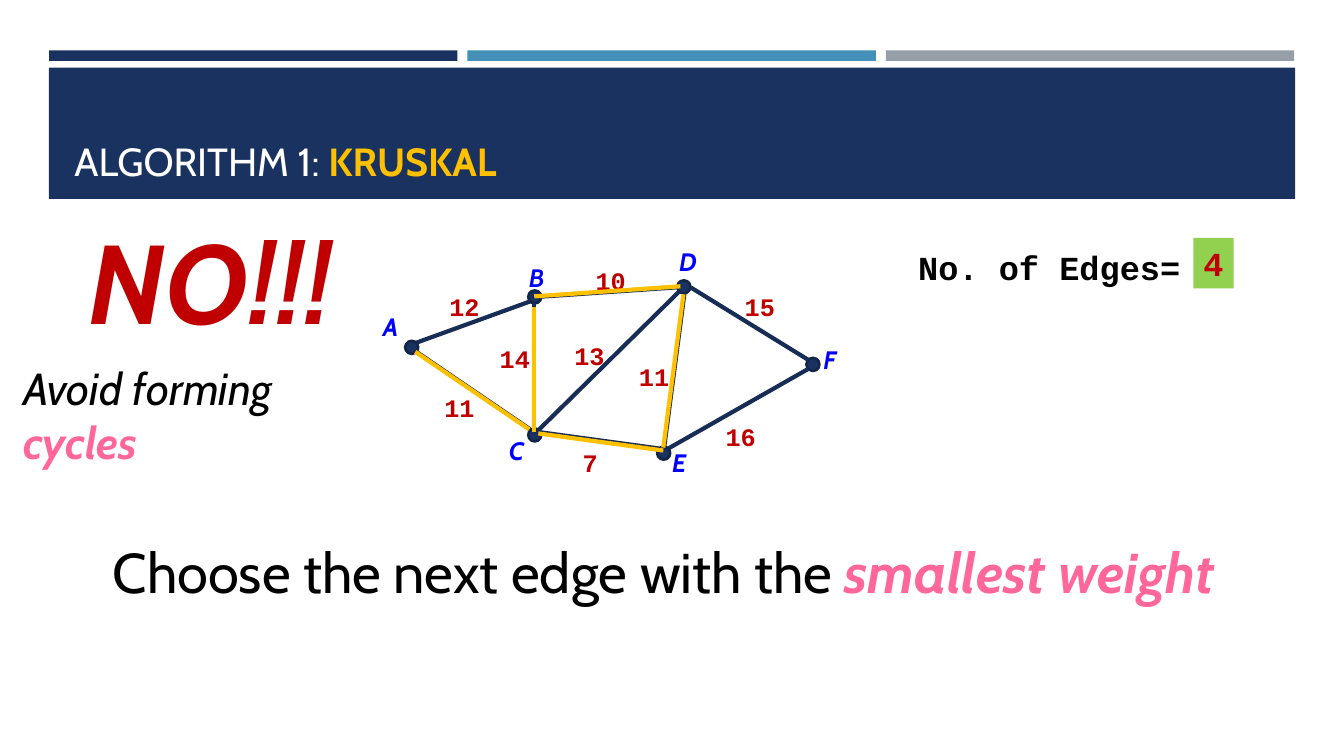
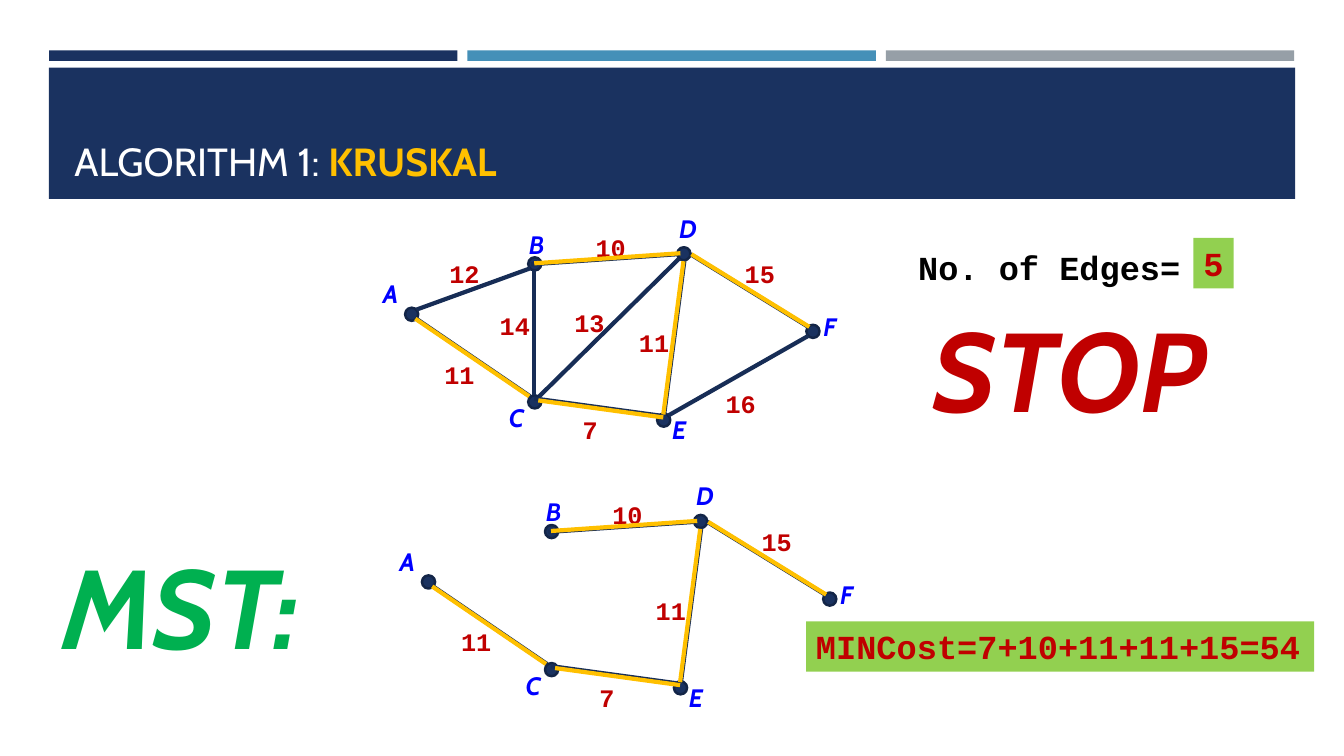
from dataclasses import dataclass

from lxml import etree
from pptx import Presentation
from pptx.dml.color import RGBColor
from pptx.enum import shapes, text
from pptx.oxml.ns import qn
from pptx.util import Pt


@dataclass(frozen=True)
class Theme:
    navy: str = "1A3260"
    node_line: str = "132547"
    edge: str = "172D56"
    blue: str = "4590B8"
    grey: str = "969FA7"
    gold: str = "FFC000"
    white: str = "FFFFFF"
    black: str = "000000"
    red: str = "C00000"
    green: str = "00B050"
    lime: str = "92D050"
    pink: str = "FF6699"
    label: str = "0000FF"
    sans: str = "Cabin"
    mono: str = "Courier New"
    graph_size: int = 18
    counter_size: int = 24
    title_size: int = 28
    note_size: int = 32
    statement_size: int = 40
    shout_size: int = 80


THEME = Theme()


@dataclass(frozen=True)
class Box:
    left: float
    top: float
    width: float
    height: float

    def lengths(self) -> tuple:
        return tuple(Pt(v) for v in (self.left, self.top, self.width, self.height))


@dataclass(frozen=True)
class Style:
    size: int
    color: str
    font: str = THEME.sans
    bold: bool = False
    italic: bool = False


@dataclass(frozen=True)
class Emphasis:
    """A closing run that differs from its paragraph in colour and weight."""
    words: str
    color: str
    italic: bool = False


@dataclass(frozen=True)
class Node:
    name: str
    x: float
    y: float
    label_x: float
    label_y: float
    label_width: float


@dataclass(frozen=True)
class Edge:
    """A weighted edge; shift moves the gold line laid over it when chosen."""
    name: str
    weight: int
    start: tuple[float, float]
    end: tuple[float, float]
    weight_at: tuple[float, float]
    shift: tuple[float, float] = (0, 0)


# Positions are relative to the top left corner of the graph.
NODE_DIAMETER = 9.4
LABEL_HEIGHT = 28.8
NODES = (
    Node("A", 27.7, 76, 0, 46.8, 25.9),
    Node("B", 115.6, 40, 104.4, 11.5, 25.9),
    Node("C", 115.6, 138.6, 90, 135.4, 27.4),
    Node("D", 222.1, 32.8, 211.7, 0, 28.8),
    Node("E", 207.7, 151.6, 206.6, 144, 25.9),
    Node("F", 314.3, 88.2, 314.6, 70.6, 23.8),
)
EDGES = (
    Edge("AB", 12, (112.3, 43.2), (31, 72.7), (47.5, 32.4)),
    Edge("AC", 11, (112.3, 134.6), (31, 79.2), (43.9, 104.4), (-0.7, 0)),
    Edge("BC", 14, (115.2, 44.6), (115.2, 133.9), (83.5, 69.8), (0, 2.5)),
    Edge("BD", 10, (217.4, 33.1), (113, 40.3), (151.9, 13.7), (2.2, -0.7)),
    Edge("CD", 13, (218.9, 36), (118.8, 134.6), (136.8, 67.7)),
    Edge("CE", 7, (204.5, 148.3), (115.2, 136.1), (142.6, 144), (2.9, 1.4)),
    Edge("DE", 11, (222.5, 37.4), (208.1, 146.9), (182.9, 82.1), (-0.7, 0.7)),
    Edge("DF", 15, (311, 85), (226.8, 33.1), (258.5, 32.4), (0.7, 0)),
    Edge("EF", 16, (311, 91.4), (211, 148.3), (244.8, 125.3)),
)
TREE = ("AC", "BD", "CE", "DE", "DF")

NODE_STYLE = Style(THEME.graph_size, THEME.label, bold=True, italic=True)
WEIGHT_STYLE = Style(THEME.graph_size, THEME.red, THEME.mono, bold=True)
COUNTER_STYLE = Style(THEME.counter_size, THEME.black, THEME.mono, bold=True)
RESULT_STYLE = Style(THEME.counter_size, THEME.red, THEME.mono, bold=True)


def rgb(color: str) -> RGBColor:
    return RGBColor.from_string(color)


def add_filled(slide, kind, box: Box, color: str):
    shape = slide.shapes.add_shape(kind, *box.lengths())
    shape.shadow.inherit = False
    shape.fill.solid()
    shape.fill.fore_color.rgb = rgb(color)
    shape.line.fill.background()
    return shape


def write(frame, words: str, style: Style, emphasis: Emphasis | None = None) -> None:
    paragraph = frame.paragraphs[0]
    paragraph.alignment = text.PP_ALIGN.LEFT
    font = paragraph.font
    font.name, font.size = style.font, Pt(style.size)
    font.italic = style.italic
    first = paragraph.add_run()
    first.text = words
    plain = first.font if emphasis else font
    plain.bold = style.bold
    plain.color.rgb = rgb(style.color)
    if emphasis:
        last = paragraph.add_run()
        last.text = emphasis.words
        last.font.bold = True
        last.font.color.rgb = rgb(emphasis.color)
        if emphasis.italic:
            last.font.italic = True


def add_text(slide, box: Box, words: str, style: Style,
             emphasis: Emphasis | None = None, wrap: bool = False,
             fill: str | None = None) -> None:
    if fill:
        shape = add_filled(slide, shapes.MSO_SHAPE.RECTANGLE, box, fill)
    else:
        shape = slide.shapes.add_textbox(*box.lengths())
    frame = shape.text_frame
    frame.word_wrap = wrap
    frame.auto_size = text.MSO_AUTO_SIZE.SHAPE_TO_FIT_TEXT
    frame.vertical_anchor = text.MSO_ANCHOR.TOP
    write(frame, words, style, emphasis)


def add_line(slide, start: tuple[float, float], end: tuple[float, float],
             offset: tuple[float, float], color: str) -> None:
    ends = [Pt(value + move) for point in (start, end)
            for value, move in zip(point, offset)]
    line = slide.shapes.add_connector(shapes.MSO_CONNECTOR.STRAIGHT, *ends)
    line.line.color.rgb = rgb(color)
    line.line.width = Pt(3)
    etree.SubElement(line.element.spPr, qn("a:effectLst"))


def add_graph(slide, left: float, top: float, chosen: tuple[str, ...],
              only_chosen: bool = False) -> None:
    """Draw the graph, with its chosen edges in gold."""
    edges = [edge for edge in EDGES if edge.name in chosen or not only_chosen]
    for node in NODES:
        radius = NODE_DIAMETER / 2
        box = Box(left + node.x - radius, top + node.y - radius,
                  NODE_DIAMETER, NODE_DIAMETER)
        dot = add_filled(slide, shapes.MSO_SHAPE.OVAL, box, THEME.navy)
        dot.line.color.rgb = rgb(THEME.node_line)
        dot.line.width = Pt(1.75)
    for edge in edges:
        add_line(slide, edge.start, edge.end, (left, top), THEME.edge)
    for node in NODES:
        box = Box(left + node.label_x, top + node.label_y,
                  node.label_width, LABEL_HEIGHT)
        add_text(slide, box, node.name, NODE_STYLE)
    for edge in edges:
        weight = str(edge.weight)
        x, y = edge.weight_at
        box = Box(left + x, top + y, 14.4 + 10.8 * len(weight), LABEL_HEIGHT)
        add_text(slide, box, weight, WEIGHT_STYLE)
    for edge in edges:
        if edge.name in chosen:
            dx, dy = edge.shift
            add_line(slide, edge.start, edge.end, (left + dx, top + dy), THEME.gold)


def add_bands(slide) -> None:
    """Draw the header bands and move them to the slide's layout."""
    bands = [(Box(34.9, 48.4, 890.3, 93.7), THEME.navy)]
    for column, color in enumerate((THEME.navy, THEME.blue, THEME.grey)):
        bands.append((Box(35.1 + 298.8 * column, 36, 291.7, 7.5), color))
    tree = slide.slide_layout.shapes.element
    for number, (box, color) in enumerate(bands):
        band = add_filled(slide, shapes.MSO_SHAPE.RECTANGLE, box, color)
        band.element.xpath(".//p:cNvPr")[0].set("id", str(100 + number))
        tree.insert(2 + number, band.element)


def add_kruskal_slide(presentation, edge_count: int):
    slide = presentation.slides.add_slide(presentation.slide_layouts[5])
    title = slide.shapes.title
    title.left, title.top, title.width, title.height = Box(46, 55.4, 868, 80).lengths()
    frame = title.text_frame
    frame.auto_size = text.MSO_AUTO_SIZE.NONE
    frame.vertical_anchor = text.MSO_ANCHOR.BOTTOM
    write(frame, "ALGORITHM 1: ", Style(THEME.title_size, THEME.white),
          Emphasis("KRUSKAL", THEME.gold))
    add_text(slide, Box(648.7, 172.8, 203, 36), "No. of Edges=", COUNTER_STYLE)
    add_text(slide, Box(852.5, 170, 28.8, 36), str(edge_count), RESULT_STYLE,
             fill=THEME.lime)
    return slide


def add_shout(slide, left: float, top: float, width: float, words: str,
              color: str) -> None:
    style = Style(THEME.shout_size, color, bold=True, italic=True)
    add_text(slide, Box(left, top, width, 104.4), words, style)


def add_cycle_slide(presentation) -> None:
    slide = add_kruskal_slide(presentation, 4)
    add_bands(slide)
    add_graph(slide, 266.4, 172.1, ("AC", "BC", "BD", "CE", "DE"))
    add_shout(slide, 56.2, 148.3, 208, "NO!!!", THEME.red)
    add_text(slide, Box(9.4, 254.2, 216, 84), "Avoid forming ",
             Style(THEME.note_size, THEME.black, italic=True),
             Emphasis("cycles", THEME.pink), wrap=True)
    add_text(slide, Box(73.4, 380.2, 808.6, 55.4), "Choose the next edge with the ",
             Style(THEME.statement_size, THEME.black),
             Emphasis("smallest weight", THEME.pink, italic=True))


def add_result_slide(presentation) -> None:
    slide = add_kruskal_slide(presentation, 5)
    add_graph(slide, 266.4, 148.5, TREE)
    add_graph(slide, 278.4, 339.7, TREE, only_chosen=True)
    add_shout(slide, 658.8, 211, 217.4, "STOP", THEME.red)
    add_shout(slide, 37.4, 380.2, 202.3, "MST:", THEME.green)
    add_text(slide, Box(575.8, 443.8, 362.9, 36), "MINCost=7+10+11+11+15=54",
             RESULT_STYLE, fill=THEME.lime)


def main() -> None:
    presentation = Presentation()
    presentation.slide_width, presentation.slide_height = Pt(960), Pt(540)
    add_cycle_slide(presentation)
    add_result_slide(presentation)
    presentation.save("out.pptx")


if __name__ == "__main__":
    main()
